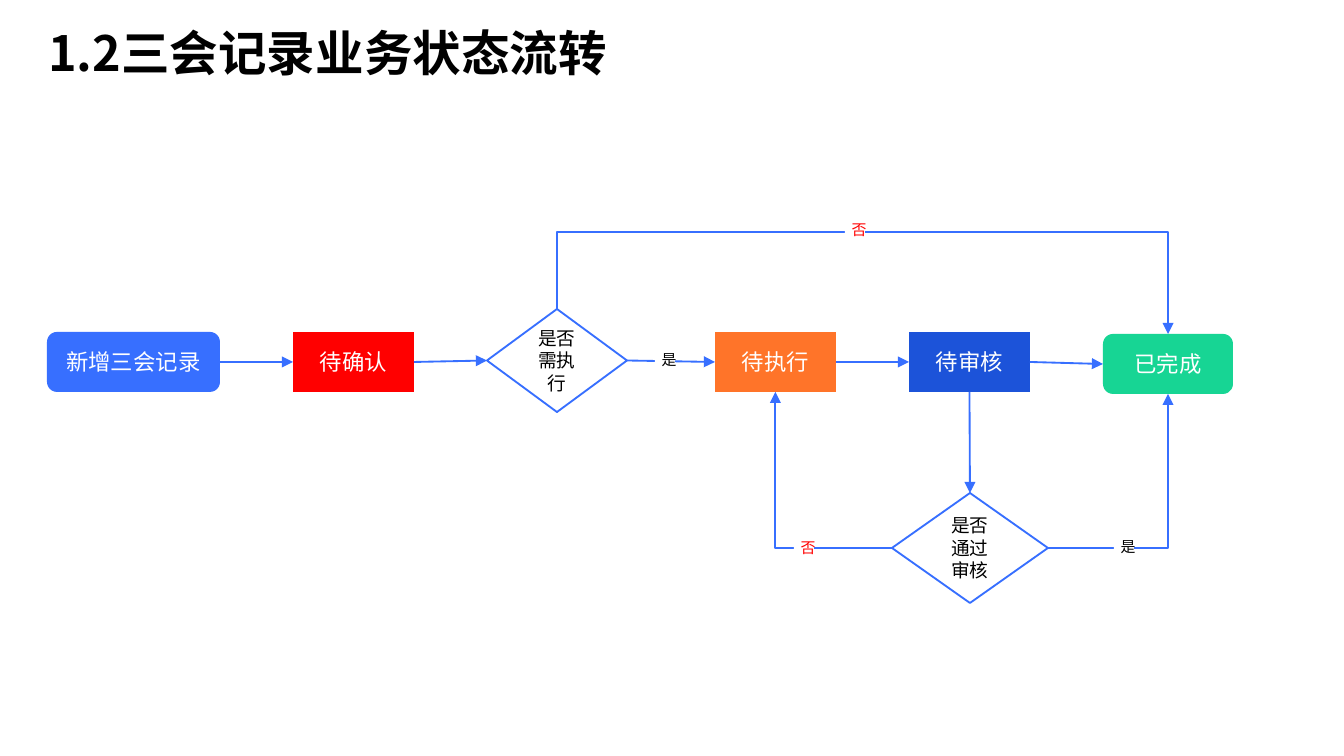
from dataclasses import dataclass

from lxml.etree import SubElement
from pptx import Presentation
from pptx.dml.color import RGBColor
from pptx.enum.shapes import MSO_CONNECTOR, MSO_SHAPE
from pptx.enum.text import MSO_ANCHOR, MSO_AUTO_SIZE, PP_ALIGN
from pptx.oxml.ns import qn
from pptx.util import Pt

EMU_PER_PX = 914400 / 134.4


@dataclass(frozen=True)
class Theme:
    blue: str = "376FFF"
    red: str = "FF0000"
    orange: str = "FF7429"
    navy: str = "1C53D9"
    green: str = "17D594"
    white: str = "FFFFFF"
    black: str = "000000"
    chinese: str = "Noto Sans CJK SC"
    latin: str = "Calibri"
    title_size: int = 26
    state_size: int = 12
    decision_size: int = 10
    label_size: int = 8
    line_width: int = 1


THEME = Theme()
TITLE = "1.2三会记录业务状态流转"
TITLE_BOX = (35, 16, 586, 73)

ROUNDED = MSO_SHAPE.FLOWCHART_ALTERNATE_PROCESS
PROCESS = MSO_SHAPE.FLOWCHART_PROCESS

# name: (text, preset, fill, font, box)
STATES = {
    "create": ("新增三会记录", ROUNDED, THEME.blue, THEME.chinese, (47, 332, 173, 60)),
    "confirm": ("待确认", PROCESS, THEME.red, THEME.latin, (293, 332, 121, 60)),
    "execute": ("待执行", PROCESS, THEME.orange, THEME.latin, (715, 332, 121, 60)),
    "review": ("待审核", PROCESS, THEME.navy, THEME.latin, (909, 332, 121, 60)),
    "done": ("已完成", ROUNDED, THEME.green, THEME.chinese, (1103, 334, 130, 60)),
}
DECISIONS = {
    "needed": ("是否需执行", (487, 309, 140, 103)),
    "passed": ("是否通过审核", (892, 493, 156, 110)),
}

TOP, LEFT, BOTTOM, RIGHT = range(4)
STRAIGHT_ARROWS = [
    ("create", RIGHT, "confirm", LEFT),
    ("confirm", RIGHT, "needed", LEFT),
    ("needed", RIGHT, "execute", LEFT),
    ("execute", RIGHT, "review", LEFT),
    ("review", RIGHT, "done", LEFT),
    ("review", BOTTOM, "passed", TOP),
]
CORNER_ARROWS = [
    ("passed", RIGHT, "done", BOTTOM),
    ("passed", LEFT, "execute", BOTTOM),
]
BYPASS_ARROW = ("needed", TOP, "done", TOP)
BYPASS_Y = 232

LABEL_SIZE = (20, 32)
LABELS = [
    ("是", THEME.black, (655, 344)),
    ("否", THEME.red, (845, 214)),
    ("是", THEME.black, (1114, 531)),
    ("否", THEME.red, (794, 532)),
]


def px(value):
    return round(value * EMU_PER_PX)


def add_text(shape, text, font_name, size, color, align, bold=False):
    paragraph = shape.text_frame.paragraphs[0]
    paragraph.alignment = align
    run = paragraph.add_run()
    run.text = text
    run.font.name = font_name
    run.font.size = Pt(size)
    run.font.bold = bold
    run.font.color.rgb = RGBColor.from_string(color)
    east_asian = SubElement(run.font._element, qn("a:ea"))
    east_asian.set("typeface", THEME.chinese)


def add_box(slide, preset, box, fill=None, line=None, anchor=MSO_ANCHOR.MIDDLE):
    shape = slide.shapes.add_shape(preset, *map(px, box))
    shape.shadow.inherit = False
    if fill:
        shape.fill.solid()
        shape.fill.fore_color.rgb = RGBColor.from_string(fill)
    else:
        shape.fill.background()
    if line:
        shape.line.color.rgb = RGBColor.from_string(line)
        shape.line.width = Pt(THEME.line_width)
    else:
        shape.line.fill.background()
    shape.text_frame.word_wrap = True
    shape.text_frame.vertical_anchor = anchor
    return shape


def add_arrow(slide, nodes, arrow, kind=MSO_CONNECTOR.STRAIGHT):
    start, start_site, end, end_site = arrow
    connector = slide.shapes.add_connector(kind, 0, 0, 0, 0)
    connector.begin_connect(nodes[start], start_site)
    connector.end_connect(nodes[end], end_site)
    connector.line.color.rgb = RGBColor.from_string(THEME.blue)
    connector.line.width = Pt(THEME.line_width)
    SubElement(connector.line._get_or_add_ln(), qn("a:tailEnd")).set("type", "triangle")
    SubElement(connector._element.spPr, qn("a:effectLst"))
    return connector


def add_corner_arrow(slide, nodes, arrow):
    connector = add_arrow(slide, nodes, arrow, MSO_CONNECTOR.ELBOW)
    connector._element.spPr.find(qn("a:prstGeom")).set("prst", "bentConnector2")


def add_bypass_arrow(slide, nodes, arrow, level):
    """Arrow that rises to level, runs across and comes down on its target."""
    connector = add_arrow(slide, nodes, arrow, MSO_CONNECTOR.ELBOW)
    span, drop = connector.width, connector.height
    rise = connector.begin_y - px(level)
    center_x = connector.left + span // 2
    center_y = connector.top + drop // 2
    connector.left, connector.top = center_x - drop // 2, center_y - span // 2
    connector.width, connector.height = drop, span
    properties = connector._element.spPr
    transform = properties.find(qn("a:xfrm"))
    transform.set("rot", str(270 * 60000))
    transform.set("flipH", "1")
    guides = properties.find(qn("a:prstGeom")).find(qn("a:avLst"))
    guide = SubElement(guides, qn("a:gd"))
    guide.set("name", "adj1")
    guide.set("fmla", f"val {round(-rise / drop * 100000)}")


def main():
    presentation = Presentation()
    presentation.slide_width, presentation.slide_height = px(1344), px(756)
    slide = presentation.slides.add_slide(presentation.slide_layouts[6])

    title = slide.shapes.add_textbox(*map(px, TITLE_BOX))
    title.text_frame.word_wrap = True
    title.text_frame.auto_size = MSO_AUTO_SIZE.SHAPE_TO_FIT_TEXT
    add_text(title, TITLE, THEME.chinese, THEME.title_size, THEME.black,
             PP_ALIGN.LEFT, bold=True)

    nodes = {}
    for name, (text, preset, fill, font_name, box) in STATES.items():
        nodes[name] = add_box(slide, preset, box, fill=fill)
        add_text(nodes[name], text, font_name, THEME.state_size, THEME.white,
                 PP_ALIGN.CENTER)
    for name, (text, box) in DECISIONS.items():
        nodes[name] = add_box(slide, MSO_SHAPE.FLOWCHART_DECISION, box, line=THEME.blue)
        add_text(nodes[name], text, THEME.latin, THEME.decision_size, THEME.black,
                 PP_ALIGN.CENTER)

    for arrow in STRAIGHT_ARROWS:
        add_arrow(slide, nodes, arrow)
    for arrow in CORNER_ARROWS:
        add_corner_arrow(slide, nodes, arrow)
    add_bypass_arrow(slide, nodes, BYPASS_ARROW, BYPASS_Y)

    for text, color, position in LABELS:
        label = add_box(slide, MSO_SHAPE.RECTANGLE, position + LABEL_SIZE,
                        fill=THEME.white, anchor=MSO_ANCHOR.TOP)
        add_text(label, text, THEME.chinese, THEME.label_size, color, PP_ALIGN.CENTER)

    presentation.save("out.pptx")


if __name__ == "__main__":
    main()
